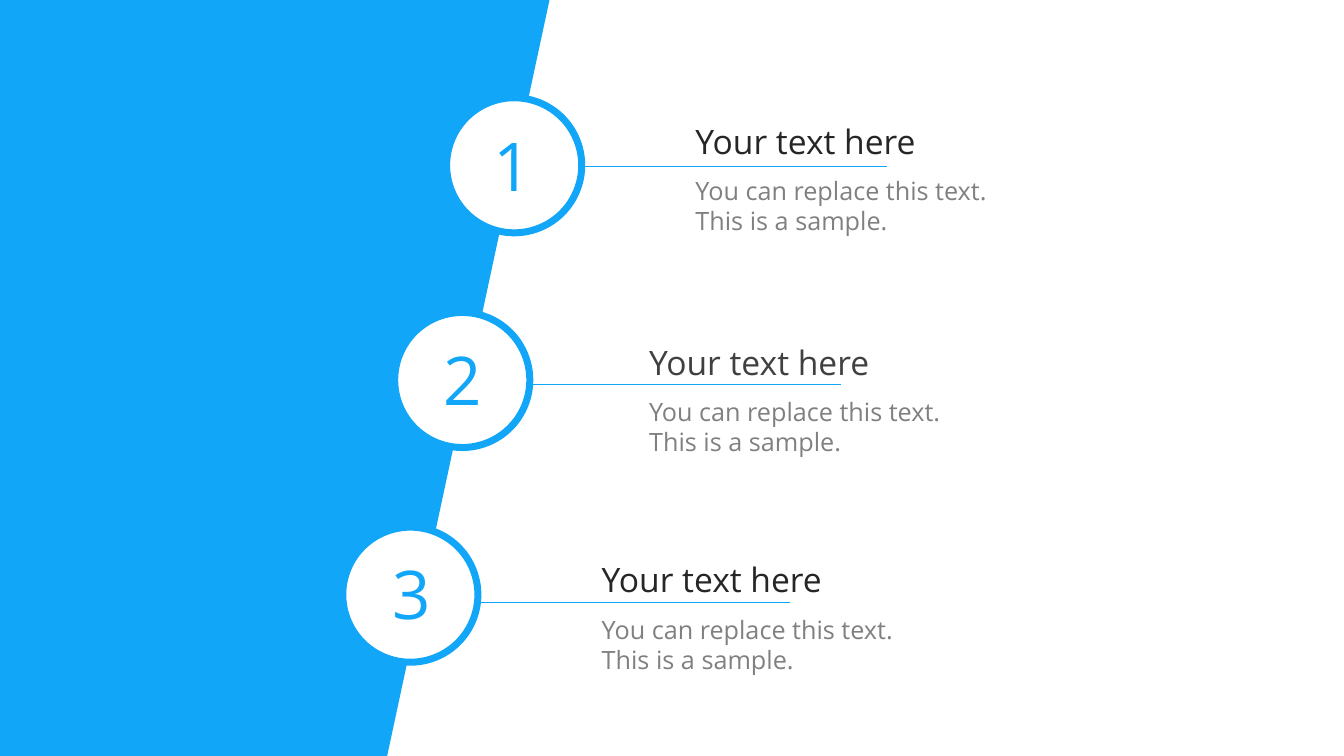
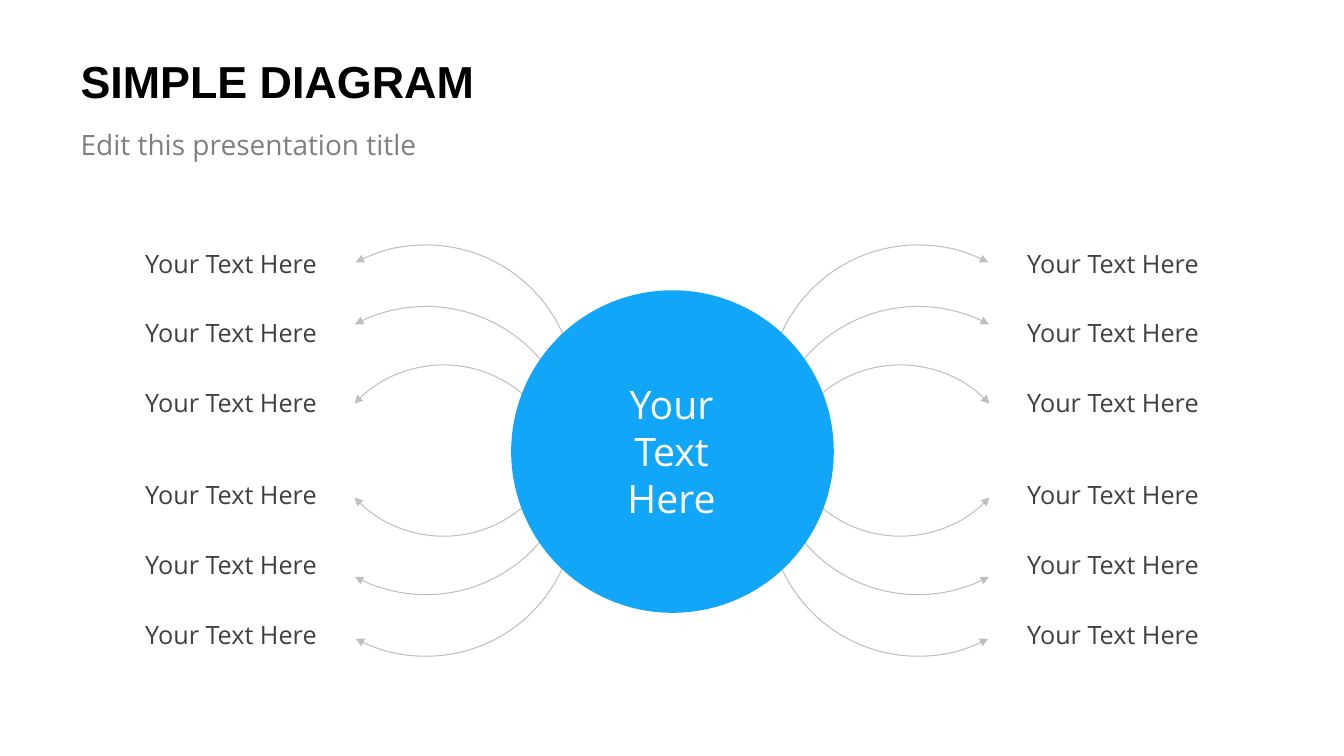
from pptx import Presentation
from pptx.dml.color import RGBColor
from pptx.enum.shapes import MSO_CONNECTOR, MSO_SHAPE
from pptx.enum.text import MSO_ANCHOR, MSO_AUTO_SIZE, PP_ALIGN
from pptx.oxml.ns import qn
from pptx.util import Pt
from lxml.etree import SubElement

# Shared scale, colours and text styles
PX = 9144  # 100 px to the inch
WIDTH, HEIGHT = 1333, 750
BLUE, WHITE, BLACK = "12A6F8", "FFFFFF", "000000"
INK, DARK, GREY, PALE = "262626", "404040", "808080", "BFBFBF"
BODY_FONT = "Open Sans"
STYLES = {
    "title": ({"name": "Arial", "size": Pt(32), "bold": True}, BLACK),
    "subtitle": ({"name": BODY_FONT, "size": Pt(20)}, GREY),
    "heading": ({"name": BODY_FONT, "size": Pt(24)}, INK),
    "body": ({"name": BODY_FONT, "size": Pt(18)}, GREY),
    "label": ({"name": BODY_FONT, "size": Pt(18)}, DARK),
    "number": ({"name": BODY_FONT, "size": Pt(48)}, BLUE),
    "hub": ({"name": BODY_FONT, "size": Pt(28)}, WHITE),
}
GROW = {"auto_size": MSO_AUTO_SIZE.SHAPE_TO_FIT_TEXT}
HEADER = {"margin_left": 13 * PX, "margin_right": 13 * PX,
          "margin_top": 7 * PX, "margin_bottom": 7 * PX}

# Slide 1: heading, body, heading colour, text left, heading top, line left, line top
SAMPLE = "You can replace this text. This is a sample."
STEPS = [
    ("Your text here", SAMPLE, INK, 680, 115, 566, 165),
    ("Your text here", SAMPLE, DARK, 634, 334, 520, 381),
    ("Your text here", SAMPLE, INK, 587, 550, 470, 598),
]
PANEL = [(0, 0), (545, 0), (384, HEIGHT), (0, HEIGHT)]
LINE_LENGTH, CIRCLE = 314, 134

# Slide 2: labels down each side, and the upper left arcs
LABELS = ["Your Text Here"] * 6
LABEL_COLUMNS = [(100, PP_ALIGN.RIGHT), (1009, PP_ALIGN.LEFT)]
LABEL_GROUP_TOPS, LABEL_PITCH, GROUP_SIZE = (241, 471), 69, 3
# left, top, size, rotation, start and end adjustments
ARCS = [
    (319, 362, 242, 313, None),
    (274, 304, 297, 313, (173.23, 5.65)),
    (274, 243, 297, 328, (164.43, 5.65)),
]
MIRROR_X, MIRROR_Y = WIDTH, 894  # twice the position of each mirror axis


def rgb(value):
    return RGBColor.from_string(value)


def px(*lengths):
    return [round(length * PX) for length in lengths]


def set_all(target, values):
    for name, value in values.items():
        setattr(target, name, value)


def add_text(slide, text, box, style, align=PP_ALIGN.LEFT, color=None, **frame):
    text_frame = slide.shapes.add_textbox(*px(*box)).text_frame
    set_all(text_frame, {"word_wrap": True, **frame})
    paragraph = text_frame.paragraphs[0]
    paragraph.text, paragraph.alignment = text, align
    font_values, default_color = STYLES[style]
    set_all(paragraph.font, font_values)
    paragraph.font.color.rgb = rgb(color or default_color)


def paint(shape, fill=None, line=None, width=0.75):
    shape.shadow.inherit = False
    if fill:
        shape.fill.solid()
        shape.fill.fore_color.rgb = rgb(fill)
    else:
        shape.fill.background()
    if line:
        shape.line.color.rgb = rgb(line)
        shape.line.width = Pt(width)
    else:
        shape.line.fill.background()


def add_rule(slide, left, top, length):
    rule = slide.shapes.add_connector(
        MSO_CONNECTOR.STRAIGHT, *px(left + length, top, left, top))
    rule.line.color.rgb = rgb(BLUE)
    rule.line.width = Pt(0.75)
    SubElement(rule._element.spPr, qn("a:effectLst"))


def add_arc(slide, arc, flip_h, flip_v):
    left, top, size, rotation, adjustments = arc
    if flip_h:
        left = MIRROR_X - left - size
    if flip_v:
        top = MIRROR_Y - top - size
    shape = slide.shapes.add_shape(MSO_SHAPE.ARC, *px(left, top, size, size))
    for index, value in enumerate(adjustments or ()):
        shape.adjustments[index] = value
    shape.rotation = rotation if flip_h == flip_v else 360 - rotation
    properties = shape._element.spPr
    for name, flipped in (("flipH", flip_h), ("flipV", flip_v)):
        if flipped:
            properties.xfrm.set(name, "1")
    paint(shape, line=PALE)
    SubElement(properties.find(qn("a:ln")), qn("a:headEnd"), type="triangle")


def build_steps(slide):
    # Slanted panel
    builder = slide.shapes.build_freeform(*PANEL[0], scale=PX)
    builder.add_line_segments(PANEL[1:], close=True)
    paint(builder.convert_to_shape(), fill=BLUE)

    # Rules run behind the circles
    for *_, line_left, line_top in STEPS:
        add_rule(slide, line_left, line_top, LINE_LENGTH)

    # Numbered circles and their texts
    for index, (heading, body, color, left, top, *_) in enumerate(STEPS):
        circle = slide.shapes.add_shape(MSO_SHAPE.OVAL, *px(
            443 - 51.5 * index, 97 + 213 * index, CIRCLE, CIRCLE))
        paint(circle, fill=WHITE, line=BLUE, width=5)
        add_text(slide, body, (left, top + 54, 317, 71), "body", **GROW)
        add_text(slide, heading, (left, top, 317, 50), "heading", color=color, **GROW)
        add_text(slide, str(index + 1), (479 - 50 * index, 118 + 212 * index, 59, 91),
                 "number", PP_ALIGN.CENTER, word_wrap=False,
                 vertical_anchor=MSO_ANCHOR.MIDDLE, **GROW)


def build_diagram(slide):
    # Arcs, mirrored into all four quarters
    for flip_h in (False, True):
        for flip_v in (False, True):
            for arc in ARCS:
                add_arc(slide, arc, flip_h, flip_v)

    # Hub
    hub = slide.shapes.add_shape(MSO_SHAPE.OVAL, *px(507, 288, 320, 320))
    paint(hub, fill=BLUE)
    add_text(slide, "Your Text Here", (573, 372, 186, 151), "hub",
             PP_ALIGN.CENTER, **GROW)

    # Labels
    for left, align in LABEL_COLUMNS:
        for index, label in enumerate(LABELS):
            group, row = divmod(index, GROUP_SIZE)
            top = LABEL_GROUP_TOPS[group] + row * LABEL_PITCH
            add_text(slide, label, (left, top, 224, 40), "label", align, **GROW)

    # Title and subtitle
    add_text(slide, "SIMPLE DIAGRAM", (67, 41, 850, 78), "title",
             vertical_anchor=MSO_ANCHOR.MIDDLE, **HEADER)
    add_text(slide, "Edit this presentation title", (67, 119, 433, 56),
             "subtitle", **HEADER)


def main():
    presentation = Presentation()
    presentation.slide_width, presentation.slide_height = px(WIDTH, HEIGHT)
    for build in (build_steps, build_diagram):
        build(presentation.slides.add_slide(presentation.slide_layouts[6]))
    presentation.save("out.pptx")


if __name__ == "__main__":
    main()
